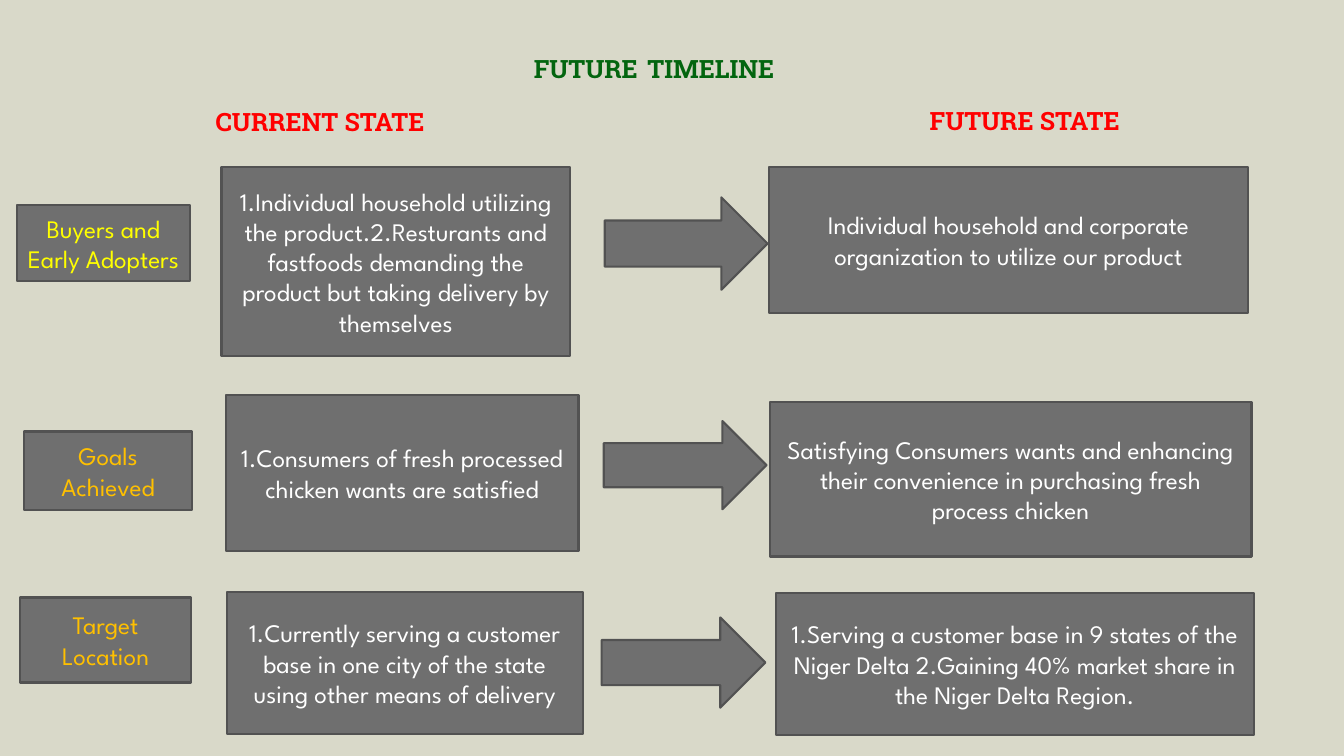
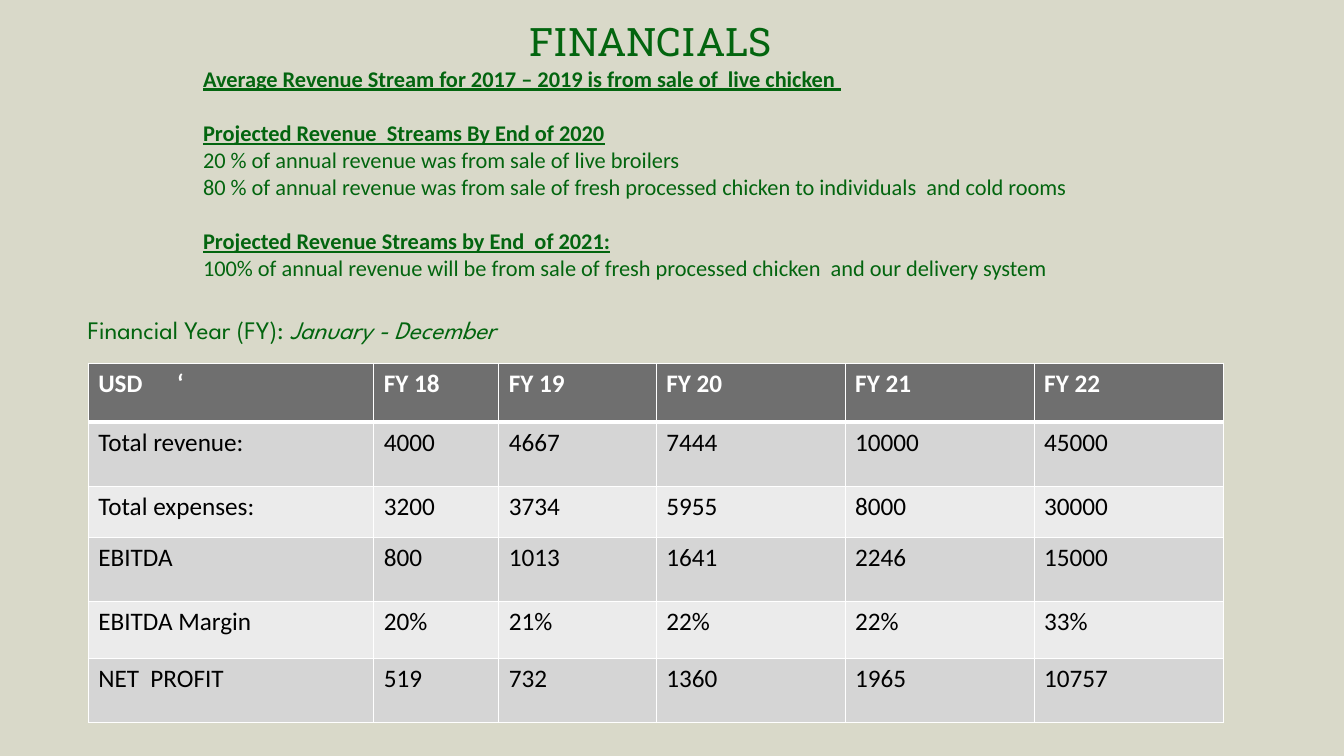
from lxml.etree import SubElement
from pptx import Presentation
from pptx.dml.color import RGBColor as Rgb
from pptx.enum.shapes import MSO_SHAPE as Shape
from pptx.enum.text import MSO_ANCHOR as Anchor, PP_ALIGN as Align
from pptx.oxml.ns import qn
from pptx.util import Pt

PX = 9525  # 96 px to the inch
HEX = {
    "page": "D9D9C9", "green": "03650F", "red": "FF0000",
    "yellow": "FFFF00", "gold": "FFC000", "white": "FFFFFF",
    "black": "000000", "gray": "6F6F6F", "edge": "525252",
    "odd": "D5D5D5", "even": "EBEBEB",
}
TINT = {name: Rgb.from_string(code) for name, code in HEX.items()}
SLAB, SPARTAN, PLAIN = "Roboto Slab", "League Spartan", "Calibri"


def ink(para, size, face, tint, bold=False, line=False):
    """Format every run of a paragraph."""
    for run in para.runs:
        font = run.font
        font.size, font.name = Pt(size), face
        font.bold, font.underline = bold, line
        font.color.rgb = TINT[tint]


def put(slide, box, text="", kind=None):
    """Add a text box, or a gray shape of the given kind; return its first paragraph."""
    area = [n * PX for n in box]
    if kind is None:
        item = slide.shapes.add_textbox(*area)
    else:
        item = slide.shapes.add_shape(kind, *area)
        item.shadow.inherit = False
        item.fill.solid()
        item.fill.fore_color.rgb = TINT["gray"]
        item.line.color.rgb = TINT["edge"]
        item.line.width = Pt(1.5)
        item.text_frame.vertical_anchor = Anchor.MIDDLE
    frame = item.text_frame
    frame.word_wrap = True
    frame.text = text
    if kind is not None:
        frame.paragraphs[0].alignment = Align.CENTER
    return frame.paragraphs[0]


deck = Presentation()
deck.slide_width, deck.slide_height = 1280 * PX, 720 * PX
back = deck.slide_master.background.fill
back.solid()
back.fore_color.rgb = TINT["page"]
blank = deck.slide_layouts[6]

# Future timeline
slide = deck.slides.add_slide(blank)
title = put(slide, (499, 33, 324, 55))
for word in ("FUTURE", " ", "TIMELINE"):
    title.add_run().text = word
ink(title, 18, SLAB, "green", bold=True)
title.runs[1].font.size = Pt(28)

for box, text in (
    ((196, 97, 331, 38), "CURRENT STATE"),
    ((876, 96, 229, 38), "FUTURE STATE"),
):
    ink(put(slide, box, text), 18, SLAB, "red", bold=True)

# Each row: label tint, arrow box, then the boxes and texts of label, now and next
rows = (
    ("yellow", (576, 188, 155, 88), (
        ((16, 195, 165, 73), "Buyers and Early Adopters"),
        ((211, 159, 332, 180), "1.Individual household utilizing the product.2.Resturants and "
         "fastfoods demanding the product but taking delivery by themselves"),
        ((732, 159, 457, 139), "Individual household and corporate organization to utilize "
         "our product"))),
    ("gold", (575, 401, 155, 84), (
        ((23, 411, 160, 75), "Goals Achieved"),
        ((215, 376, 336, 149), "1.Consumers of fresh processed chicken wants are satisfied"),
        ((733, 383, 459, 147), "Satisfying Consumers wants and enhancing their convenience in "
         "purchasing fresh process chicken"))),
    ("gold", (573, 588, 156, 86), (
        ((19, 569, 163, 81), "Target Location"),
        ((216, 564, 339, 135), "1.Currently serving a customer base in one city of the state "
         "using other means of delivery"),
        ((739, 565, 455, 135), "1.Serving a customer base in 9 states of the Niger Delta "
         "2.Gaining 40% market share in the Niger Delta Region."))),
)
for tint, arrow, cards in rows:
    for (box, text), hue in zip(cards, (tint, "white", "white")):
        ink(put(slide, box, text, Shape.RECTANGLE), 18, SPARTAN, hue)
    put(slide, arrow, kind=Shape.RIGHT_ARROW)

# Financials
slide = deck.slides.add_slide(blank)
title = put(slide, (432, 12, 385, 55), "FINANCIALS ")
title.alignment = Align.CENTER
ink(title, 28, SLAB, "green")

groups = (
    ("Average Revenue Stream for 2017 – 2019 is from sale of  live chicken ",),
    ("Projected Revenue  Streams By End of 2020",
     "20 % of annual revenue was from sale of live broilers",
     "80 % of annual revenue was from sale of fresh processed chicken to individuals  "
     "and cold rooms"),
    ("Projected Revenue Streams by End  of 2021:",
     "100% of annual revenue will be from sale of fresh processed chicken  "
     "and our delivery system"),
)
para = put(slide, (184, 57, 860, 294))
frame = slide.shapes[-1].text_frame
for g, group in enumerate(groups):
    for n, text in enumerate(group):
        if g or n:
            para = frame.add_paragraph()
        para.text = text
        head = n == 0
        ink(para, 16, PLAIN, "green", bold=head, line=head)
        if g and head:
            para.space_before = Pt(19.5)

year = put(slide, (74, 295, 504, 38))
for text in ("Financial Year (FY): ", "January - December"):
    year.add_run().text = text
ink(year, 18, SPARTAN, "green")
year.runs[1].font.italic = True

data = (
    ("USD\t‘", "FY 18", "FY 19", "FY 20", "FY 21", "FY 22"),
    ("Total revenue:", "4000", "4667", "7444", "10000", "45000"),
    ("Total expenses:", "3200", "3734", "5955", "8000", "30000"),
    ("EBITDA", "800", "1013", "1641", "2246", "15000"),
    ("EBITDA Margin", "20%", "21%", "22%", "22%", "33%"),
    ("NET  PROFIT", "519", "732", "1360", "1965", "10757"),
)
wide = (272, 119, 150, 180, 180, 180)
tall = (56, 61, 49, 61, 54, 61)
area = [n * PX for n in (84, 346, sum(wide), sum(tall))]
table = slide.shapes.add_table(len(tall), len(wide), *area).table
for col, size in zip(table.columns, wide):
    col.width = size * PX
for row, size in zip(table.rows, tall):
    row.height = size * PX

for r, line in enumerate(data):
    head = r == 0
    fill = "gray" if head else "odd" if r % 2 else "even"
    for c, text in enumerate(line):
        cell = table.cell(r, c)
        para = cell.text_frame.paragraphs[0]
        para.text = text
        ink(para, 18, PLAIN, "white" if head else "black", bold=head)
        # Borders must come before the fill in the cell's XML
        props = cell._tc.get_or_add_tcPr()
        for side in ("lnL", "lnR", "lnT", "lnB"):
            thick = (head and side == "lnB") or (r == 1 and side == "lnT")
            edge = SubElement(props, qn("a:" + side), w=str(Pt(3 if thick else 1)))
            solid = SubElement(edge, qn("a:solidFill"))
            SubElement(solid, qn("a:srgbClr"), val=HEX["white"])
        cell.fill.solid()
        cell.fill.fore_color.rgb = TINT[fill]

# Tab stop that sets the mark apart from the currency
props = table.cell(0, 0).text_frame.paragraphs[0]._p.get_or_add_pPr()
stops = SubElement(props, qn("a:tabLst"))
SubElement(stops, qn("a:tab"), pos=str(75 * PX), algn="l")

deck.save("out.pptx")
